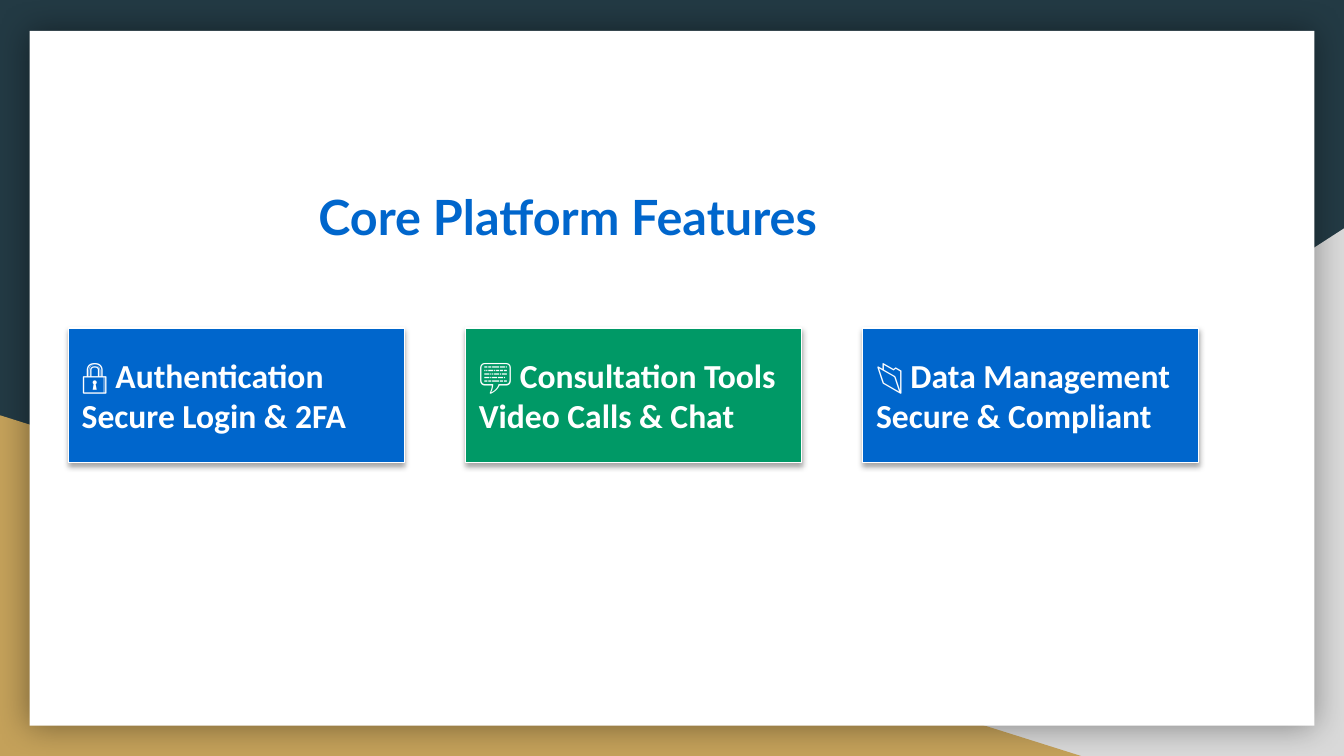
from lxml.etree import SubElement
from pptx import Presentation
from pptx.dml.color import RGBColor
from pptx.enum.shapes import MSO_SHAPE
from pptx.enum.text import MSO_ANCHOR, MSO_AUTO_SIZE, PP_ALIGN
from pptx.oxml.ns import qn
from pptx.util import Inches, Pt

BLUE = "0066CC"
GREEN = "009966"
WHITE = "FFFFFF"
FIRST_LEFT = 0.51
LAST_LEFT = 6.42


def set_fill(fill, color):
    """Give a fill one solid colour."""
    fill.solid()
    fill.fore_color.rgb = RGBColor.from_string(color)


def format_text(paragraph, font_name, size, color, alignment):
    """Align a paragraph and format its runs in bold."""
    paragraph.alignment = alignment
    for run in paragraph.runs:
        run.font.name = font_name
        run.font.size = Pt(size)
        run.font.bold = True
        set_fill(run.font.fill, color)


def add_shadow(shape, opacity, blur, distance):
    """Add a black shadow that falls downwards."""
    effects = shape._element.spPr.find(qn("a:effectLst"))
    shadow = SubElement(
        effects, qn("a:outerShdw"), blurRad=str(Pt(blur)),
        dist=str(Pt(distance)), dir="5400000", algn="ctr", rotWithShape="0",
    )
    color = SubElement(shadow, qn("a:srgbClr"), val="000000")
    SubElement(color, qn("a:alpha"), val=str(opacity * 1000))


def add_block(slide, kind, position, color):
    """Add a filled shape without outline or shadow."""
    shape = slide.shapes.add_shape(kind, *map(Inches, position))
    shape.shadow.inherit = False
    set_fill(shape.fill, color)
    shape.line.fill.background()
    return shape


def add_backdrop(slide):
    """Add the corner triangles and the white panel."""
    set_fill(slide.background.fill, "233A44")
    triangle = MSO_SHAPE.RIGHT_TRIANGLE
    gray_corner = add_block(slide, triangle, (3.92, 1.7, 6.08, 3.93), "D9D9D9")
    gray_corner._element.spPr.xfrm.set("flipH", "1")
    add_block(slide, triangle, (0, 3.09, 8.06, 2.54), "C4A15A")
    panel = add_block(slide, MSO_SHAPE.RECTANGLE, (0.22, 0.23, 9.56, 5.17), WHITE)
    add_shadow(panel, 40, 18, 0)


def place_title(slide, text):
    """Fill the title placeholder and bring it in front of the panel."""
    title = slide.shapes.title
    title.left, title.top = Inches(0.12), Inches(1.29)
    title.width, title.height = Inches(8.21), Inches(0.75)
    frame = title.text_frame
    frame.text = text
    frame.word_wrap = True
    frame.auto_size = MSO_AUTO_SIZE.NONE
    frame.vertical_anchor = MSO_ANCHOR.TOP
    frame.margin_left = frame.margin_right = Inches(0.1)
    frame.margin_top = frame.margin_bottom = Inches(0.1)
    format_text(frame.paragraphs[0], "Lato", 26, BLUE, PP_ALIGN.CENTER)
    slide.shapes._spTree.append(title._element)


def add_feature_card(slide, left, color, text):
    """Add one feature card with a heading and a detail line."""
    card = add_block(slide, MSO_SHAPE.RECTANGLE, (left, 2.44, 2.5, 1), color)
    set_fill(card.line.fill, WHITE)
    card.line.width = Pt(0.75)
    add_shadow(card, 35, 3.1, 1.8)
    frame = card.text_frame
    frame.text = text
    frame.word_wrap = True
    frame.vertical_anchor = MSO_ANCHOR.MIDDLE
    for paragraph in frame.paragraphs:
        format_text(paragraph, "Calibri", 18, WHITE, PP_ALIGN.LEFT)


def main():
    """Build and save the slide."""
    presentation = Presentation()
    presentation.slide_width = Inches(10)
    presentation.slide_height = Inches(10 * 9 / 16)
    slide = presentation.slides.add_slide(presentation.slide_layouts[5])
    add_backdrop(slide)
    place_title(slide, "Core Platform Features")
    features = [
        (BLUE, "🔒 Authentication\nSecure Login & 2FA"),
        (GREEN, "💬 Consultation Tools\nVideo Calls & Chat"),
        (BLUE, "📂 Data Management\nSecure & Compliant"),
    ]
    step = (LAST_LEFT - FIRST_LEFT) / (len(features) - 1)
    for index, (color, text) in enumerate(features):
        add_feature_card(slide, FIRST_LEFT + index * step, color, text)
    presentation.save("out.pptx")


if __name__ == "__main__":
    main()
